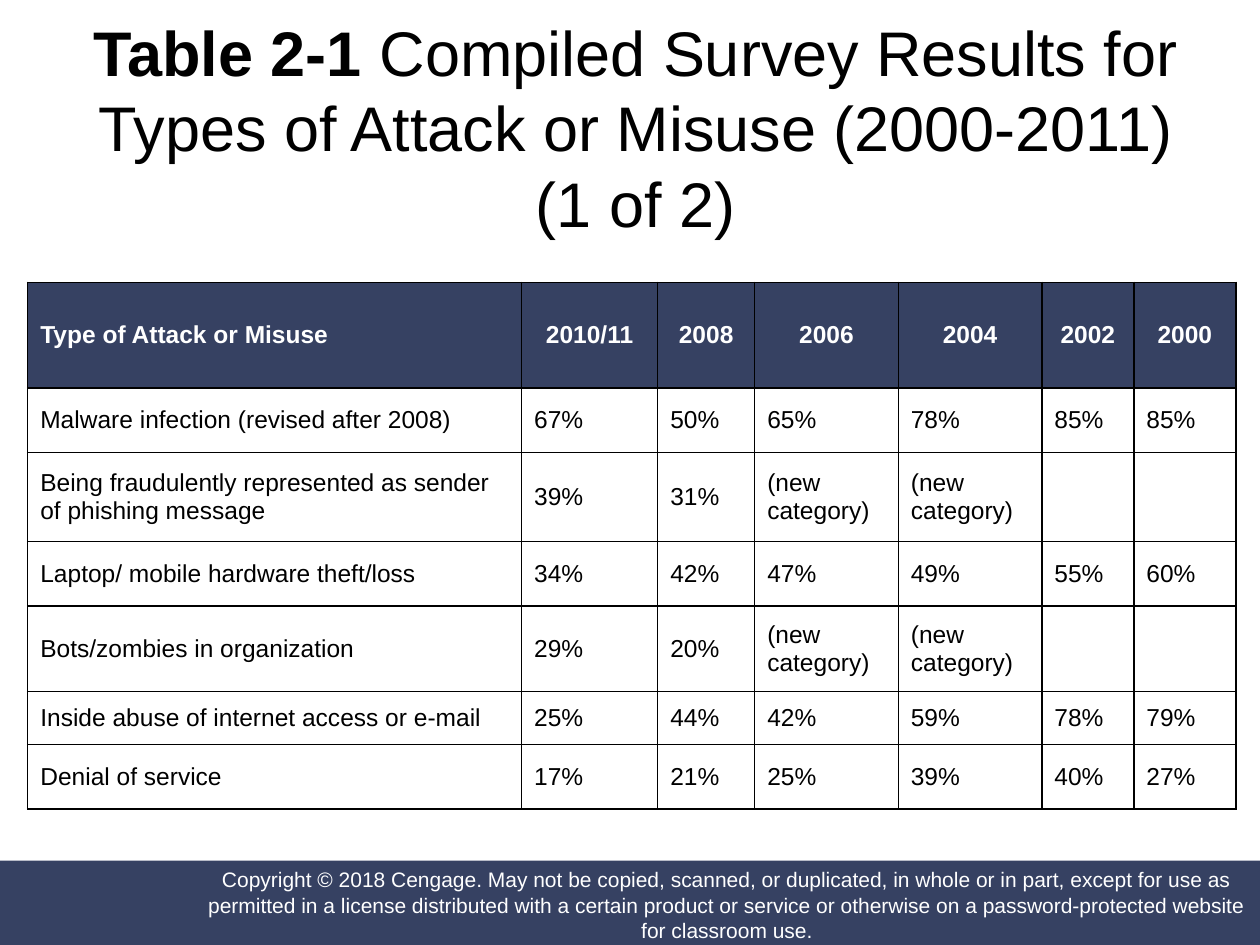
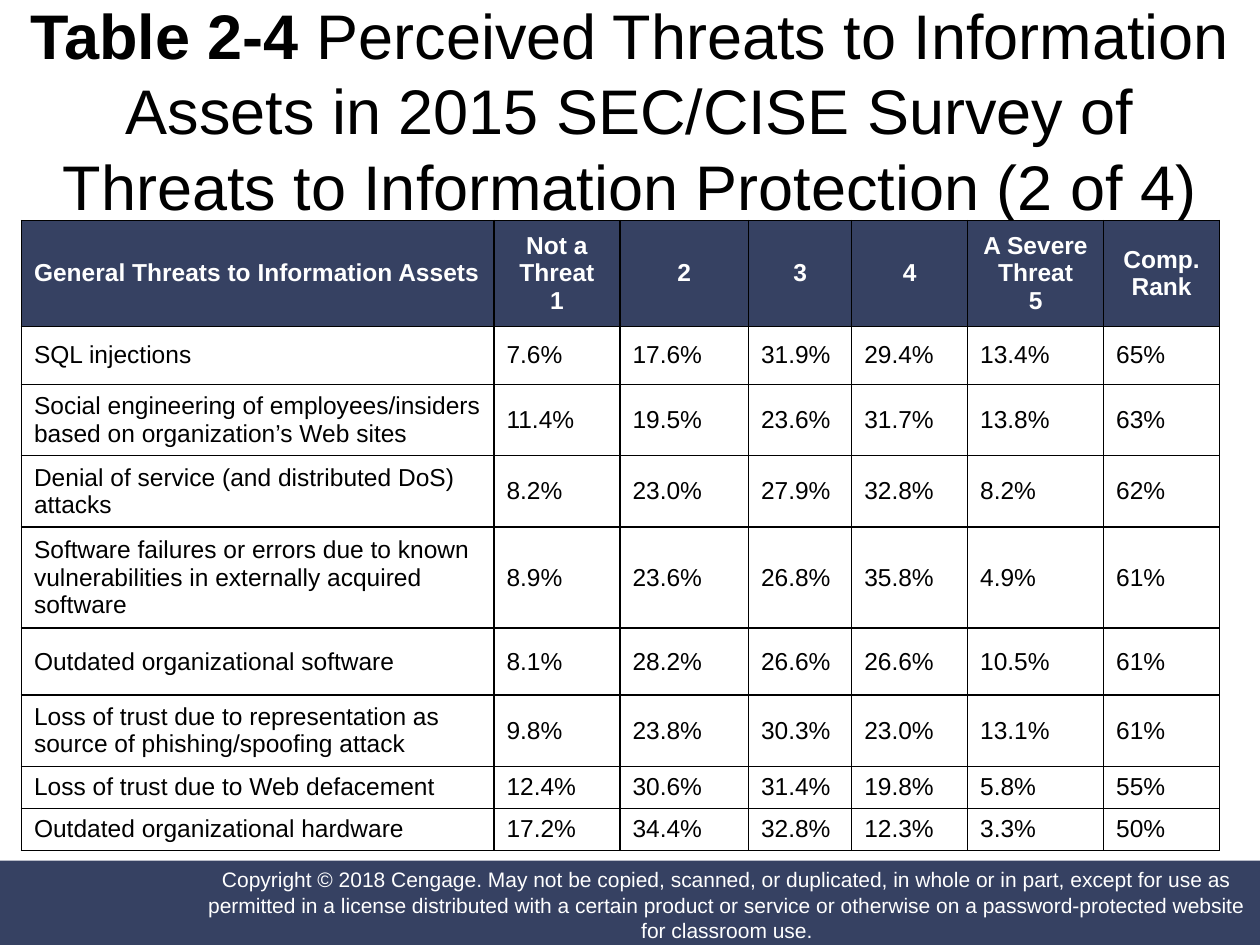
import pptx
import pptx.dml.color
import pptx.enum.shapes
import pptx.enum.text
import pptx.oxml
import pptx.oxml.ns
import pptx.util

Inches = pptx.util.Inches
Pt = pptx.util.Pt
ALIGN = pptx.enum.text.PP_ALIGN
MIDDLE = pptx.enum.text.MSO_ANCHOR.MIDDLE

NAVY = pptx.dml.color.RGBColor(0x36, 0x41, 0x62)
WHITE = pptx.dml.color.RGBColor(0xFF, 0xFF, 0xFF)
BLACK = pptx.dml.color.RGBColor(0, 0, 0)

TITLE_FORMAT = {"name": "Arial", "size": Pt(36)}
FOOTER_FORMAT = {"name": "Arial", "size": Pt(12)}
HEADER_FORMAT = {"name": "Arial", "size": Pt(14), "bold": True}
BODY_FORMAT = {"name": "Arial", "size": Pt(14), "bold": False}

FOOTER_BAND = (-0.01, 6.83, 10.01, 0.68)
FOOTER_TEXT_BOX = (1.62, 6.86, 8.3, 0.64)
COPYRIGHT = (
    "Copyright © 2018 Cengage. May not be copied, scanned, or duplicated, in whole or in part, "
    "except for use as permitted in a license distributed with a certain product or service or "
    "otherwise on a password-protected website for classroom use."
)

NEW = "(new category)"
SURVEY_SLIDE = {
    "title": ("Table 2-1 ", "Compiled Survey Results for Types of Attack or Misuse (2000-2011) (1 of 2)"),
    "title_box": (0.42, 0.17, 9.25, 1.67),
    "corner": (0.22, 2.24),
    "columns": (3.92, 1.08, 0.77, 1.14, 1.14, 0.73, 0.81),
    "heights": (0.84, 0.51, 0.71, 0.51, 0.68, 0.42, 0.51),
    "rows": [
        ("Type of Attack or Misuse", "2010/11", "2008", "2006", "2004", "2002", "2000"),
        ("Malware infection (revised after 2008)", "67%", "50%", "65%", "78%", "85%", "85%"),
        ("Being fraudulently represented as sender of phishing message", "39%", "31%", NEW, NEW, "", ""),
        ("Laptop/ mobile hardware theft/loss", "34%", "42%", "47%", "49%", "55%", "60%"),
        ("Bots/zombies in organization", "29%", "20%", NEW, NEW, "", ""),
        ("Inside abuse of internet access or e-mail", "25%", "44%", "42%", "59%", "78%", "79%"),
        ("Denial of service", "17%", "21%", "25%", "39%", "40%", "27%"),
    ],
}
THREATS_SLIDE = {
    "title": (
        "Table 2-4 ",
        "Perceived Threats to Information Assets in 2015 SEC/CISE Survey of "
        "Threats to Information Protection (2 of 4)",
    ),
    "title_box": (0, 0.08, 10, 1.58),
    "corner": (0.17, 1.75),
    "columns": (3.75, 1, 1.02, 0.82, 0.92, 1.08, 0.92),
    "heights": (0.84, 0.46, 0.54, 0.54, 0.76, 0.53, 0.54, 0.32, 0.32),
    "rows": [
        ("General Threats to Information Assets", "Not a Threat\n1", "2", "3", "4",
         "A Severe Threat\n5", "Comp.\vRank"),
        ("SQL injections", "7.6%", "17.6%", "31.9%", "29.4%", "13.4%", "65%"),
        ("Social engineering of employees/insiders based on organization’s Web sites",
         "11.4%", "19.5%", "23.6%", "31.7%", "13.8%", "63%"),
        ("Denial of service (and distributed DoS) attacks",
         "8.2%", "23.0%", "27.9%", "32.8%", "8.2%", "62%"),
        ("Software failures or errors due to known vulnerabilities in externally acquired software",
         "8.9%", "23.6%", "26.8%", "35.8%", "4.9%", "61%"),
        ("Outdated organizational software", "8.1%", "28.2%", "26.6%", "26.6%", "10.5%", "61%"),
        ("Loss of trust due to representation as source of phishing/spoofing attack",
         "9.8%", "23.8%", "30.3%", "23.0%", "13.1%", "61%"),
        ("Loss of trust due to Web defacement", "12.4%", "30.6%", "31.4%", "19.8%", "5.8%", "55%"),
        ("Outdated organizational hardware", "17.2%", "34.4%", "32.8%", "12.3%", "3.3%", "50%"),
    ],
}


def set_font(font, values, color):
    for name, value in values.items():
        setattr(font, name, value)
    font.color.rgb = color


def add_navy_box(page, box):
    shape = page.shapes.add_shape(pptx.enum.shapes.MSO_SHAPE.RECTANGLE, *map(Inches, box))
    shape.shadow.inherit = False
    shape.fill.solid()
    shape.fill.fore_color.rgb = NAVY
    shape.line.fill.background()
    return shape


def add_footer(page):
    add_navy_box(page, FOOTER_BAND)
    frame = add_navy_box(page, FOOTER_TEXT_BOX).text_frame
    for side in ("left", "top", "right", "bottom"):
        setattr(frame, f"margin_{side}", 0)
    frame.word_wrap = True
    frame.vertical_anchor = MIDDLE
    frame.text = COPYRIGHT
    para = frame.paragraphs[0]
    para.alignment = ALIGN.CENTER
    set_font(para.runs[0].font, FOOTER_FORMAT, WHITE)


def add_title(page, box, label, subject):
    frame = page.shapes.add_textbox(*map(Inches, box)).text_frame
    frame.word_wrap = True
    frame.vertical_anchor = MIDDLE
    para = frame.paragraphs[0]
    para.alignment = ALIGN.CENTER
    for text, bold in ((label, True), (subject, False)):
        span = para.add_run()
        span.text = text
        set_font(span.font, {**TITLE_FORMAT, "bold": bold}, BLACK)


def add_borders(cell):
    properties = cell._tc.get_or_add_tcPr()
    for side in "LRTB":
        properties.append(pptx.oxml.parse_xml(
            f'<a:ln{side} {pptx.oxml.ns.nsdecls("a")} w="{Pt(1)}">'
            f'<a:solidFill><a:srgbClr val="{BLACK}"/></a:solidFill></a:ln{side}>'))


def fill_cell(cell, text, is_header, is_first):
    add_borders(cell)
    cell.vertical_anchor = MIDDLE
    if is_header:
        cell.fill.solid()
        cell.fill.fore_color.rgb = NAVY
    else:
        cell.fill.background()
    cell.text = text
    for para in cell.text_frame.paragraphs:
        para.alignment = ALIGN.CENTER if is_header and not is_first else ALIGN.LEFT
        values, color = (HEADER_FORMAT, WHITE) if is_header else (BODY_FORMAT, BLACK)
        set_font(para.font, values, color)
        for span in para.runs:
            set_font(span.font, values, color)


def add_grid(page, corner, columns, heights, rows):
    box = (*corner, sum(columns), sum(heights))
    table = page.shapes.add_table(len(rows), len(columns), *map(Inches, box)).table
    table.horz_banding = False
    for column, width in zip(table.columns, columns):
        column.width = Inches(width)
    for row, height in zip(table.rows, heights):
        row.height = Inches(height)
    for r, texts in enumerate(rows):
        for c, text in enumerate(texts):
            fill_cell(table.cell(r, c), text, r == 0, c == 0)


def add_table_slide(deck, content):
    page = deck.slides.add_slide(deck.slide_layouts[6])
    add_footer(page)
    add_title(page, content["title_box"], *content["title"])
    add_grid(page, content["corner"], content["columns"], content["heights"], content["rows"])


def main():
    deck = pptx.Presentation()
    deck.slide_width, deck.slide_height = Inches(10), Inches(7.5)
    for content in (SURVEY_SLIDE, THREATS_SLIDE):
        add_table_slide(deck, content)
    deck.save("out.pptx")


if __name__ == "__main__":
    main()
